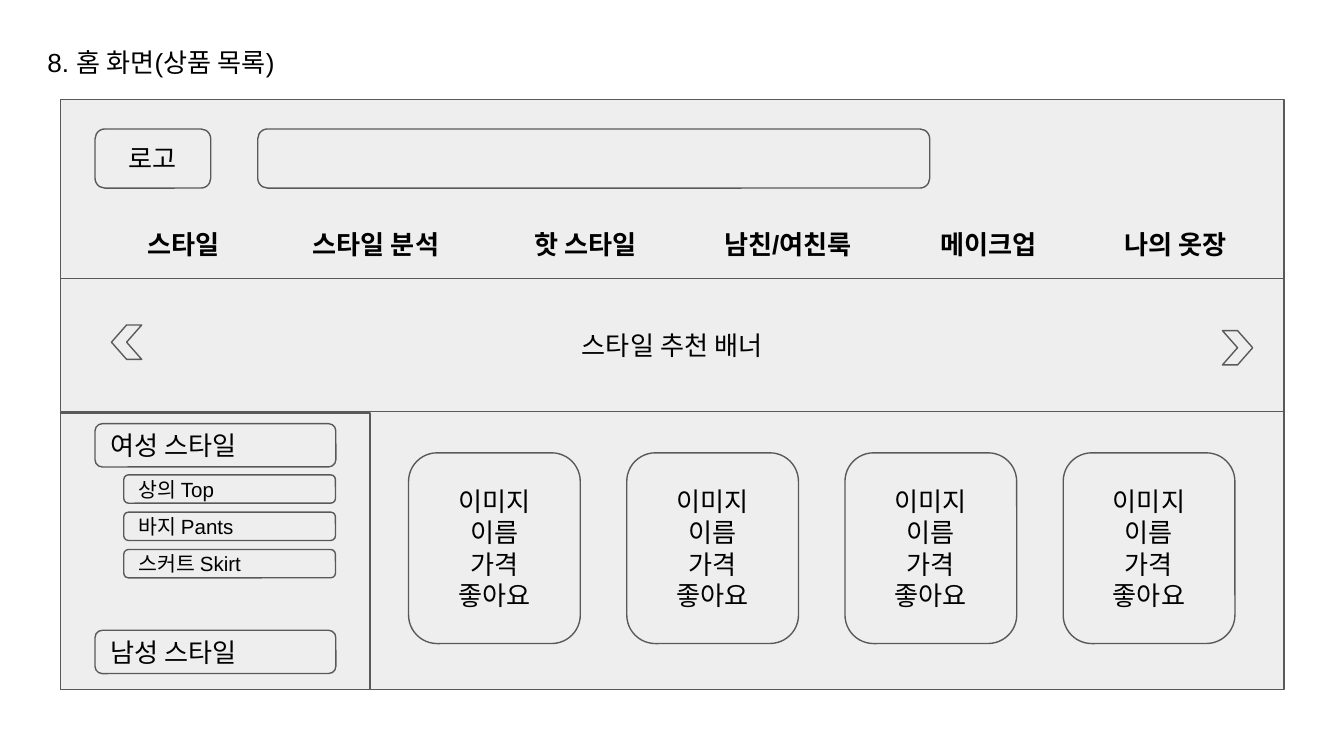
import pptx
import pptx.util
from lxml import etree
from pptx.dml.color import RGBColor
from pptx.enum.shapes import MSO_CONNECTOR, MSO_SHAPE
from pptx.enum.text import MSO_ANCHOR, MSO_AUTO_SIZE, PP_ALIGN
from pptx.oxml.ns import qn

Pt = pptx.util.Pt

FILL = RGBColor(0xEE, 0xEE, 0xEE)
LINE = RGBColor(0x59, 0x59, 0x59)
BLACK = RGBColor(0, 0, 0)
FONT = "Arial"
INSET = 7.2
LABEL_HEIGHT = 31.7

NAV = [  # label, left offset, width
    ("스타일", 39.6, 61.9),
    ("스타일 분석", 128.2, 91.4),
    ("핫 스타일", 247, 85.7),
    ("남친/여친룩", 348.5, 91.4),
    ("메이크업", 464.4, 79.9),
    ("나의 옷장", 563, 79.9),
]
CATEGORIES = ["상의 Top", "바지 Pants", "스커트 Skirt"]
CARD_LINES = ["이미지", "이름", "가격", "좋아요"]
CARD_COUNT = 4


def write_text(sp, lines, size=14, bold=False, align=PP_ALIGN.LEFT):
    tf = sp.text_frame
    tf.word_wrap = True
    tf.margin_left = tf.margin_right = Pt(INSET)
    tf.margin_top = tf.margin_bottom = Pt(INSET)
    for i, line in enumerate(lines):
        p = tf.add_paragraph() if i else tf.paragraphs[0]
        p.alignment = align
        r = p.add_run()
        r.text = line
        r.font.name = FONT
        r.font.size = Pt(size)
        r.font.bold = bold
        r.font.color.rgb = BLACK


def add_label(s, text, x, y, w, bold=False):
    sp = s.shapes.add_textbox(Pt(x), Pt(y), Pt(w), Pt(LABEL_HEIGHT))
    write_text(sp, [text], bold=bold)
    sp.text_frame.auto_size = MSO_AUTO_SIZE.SHAPE_TO_FIT_TEXT


def add_box(s, kind, x, y, w, h, lines=(), size=14, align=PP_ALIGN.CENTER):
    sp = s.shapes.add_shape(kind, Pt(x), Pt(y), Pt(w), Pt(h))
    sp.shadow.inherit = False
    sp.fill.solid()
    sp.fill.fore_color.rgb = FILL
    sp.line.color.rgb = LINE
    sp.line.width = Pt(0.75)
    if lines:
        write_text(sp, lines, size, align=align)
        sp.text_frame.vertical_anchor = MSO_ANCHOR.MIDDLE
    return sp


def add_rule(s, x1, x2, y):
    cn = s.shapes.add_connector(MSO_CONNECTOR.STRAIGHT, Pt(x1), Pt(y), Pt(x2), Pt(y))
    cn.line.color.rgb = LINE
    cn.line.width = Pt(0.75)
    etree.SubElement(cn._element.spPr, qn("a:effectLst"))


def add_header(s, x, y, w, h):
    """Logo, search field and menu, closed by a rule at the bottom."""
    add_box(s, MSO_SHAPE.ROUNDED_RECTANGLE, x + 18.6, y + 15.8, 62, 31.7, ["로고"])
    add_box(s, MSO_SHAPE.ROUNDED_RECTANGLE, x + 105.8, y + 15.8, 360, 31.7)
    add_rule(s, x + 4.5, x + w - 0.5, y + h)
    for label, left, width in NAV:
        add_label(s, label, x + left, y + 61.9, width, bold=True)


def add_banner(s, x, y, w, h):
    add_box(s, MSO_SHAPE.RECTANGLE, x, y, w, h, ["스타일 추천 배너"])
    add_box(s, MSO_SHAPE.CHEVRON, x + w - 33.1, y + 28, 16.2, 18.4)
    previous = add_box(s, MSO_SHAPE.CHEVRON, x + 27.4, y + 25, 16.2, 18.4)
    previous.rotation = 180


def add_sidebar(s, x, y, w, h):
    add_box(s, MSO_SHAPE.RECTANGLE, x, y, w, h)
    for label, top in (("여성 스타일", 5.8), ("남성 스타일", 116.5)):
        add_box(s, MSO_SHAPE.ROUNDED_RECTANGLE, x + 18.6, y + top, 129, 23.2,
                [label], align=PP_ALIGN.LEFT)
    for i, label in enumerate(CATEGORIES):
        add_box(s, MSO_SHAPE.ROUNDED_RECTANGLE, x + 34, y + 33.2 + i * 20, 113.4, 15.2,
                [label], size=11, align=PP_ALIGN.LEFT)


def add_products(s, x, y, w, h):
    """Equally spaced product cards that fill the box."""
    card_w = 92
    pitch = (w - card_w) / (CARD_COUNT - 1)
    for i in range(CARD_COUNT):
        add_box(s, MSO_SHAPE.ROUNDED_RECTANGLE, x + i * pitch, y, card_w, h, CARD_LINES)


def build_home_screen(s, x, y, w, h):
    header_h, banner_h = 95.8, 71.5
    banner_y = y + header_h
    sidebar_y = banner_y + banner_h + 0.6
    add_box(s, MSO_SHAPE.RECTANGLE, x, y, w, h)
    add_header(s, x, y, w, header_h)
    add_sidebar(s, x, sidebar_y, 166, y + h - sidebar_y)
    add_banner(s, x, banner_y, w, banner_h)
    add_products(s, x + 186.6, sidebar_y + 21.4, 442.7, 102.2)


def main():
    prs = pptx.Presentation()
    prs.slide_width, prs.slide_height = Pt(720), Pt(405)
    s = prs.slides.add_slide(prs.slide_layouts[6])
    add_label(s, " 8. 홈 화면(상품 목록)", 14.4, 17.4, 166.3)
    build_home_screen(s, 32.3, 53.3, 655.7, 316)
    prs.save("out.pptx")


if __name__ == "__main__":
    main()
